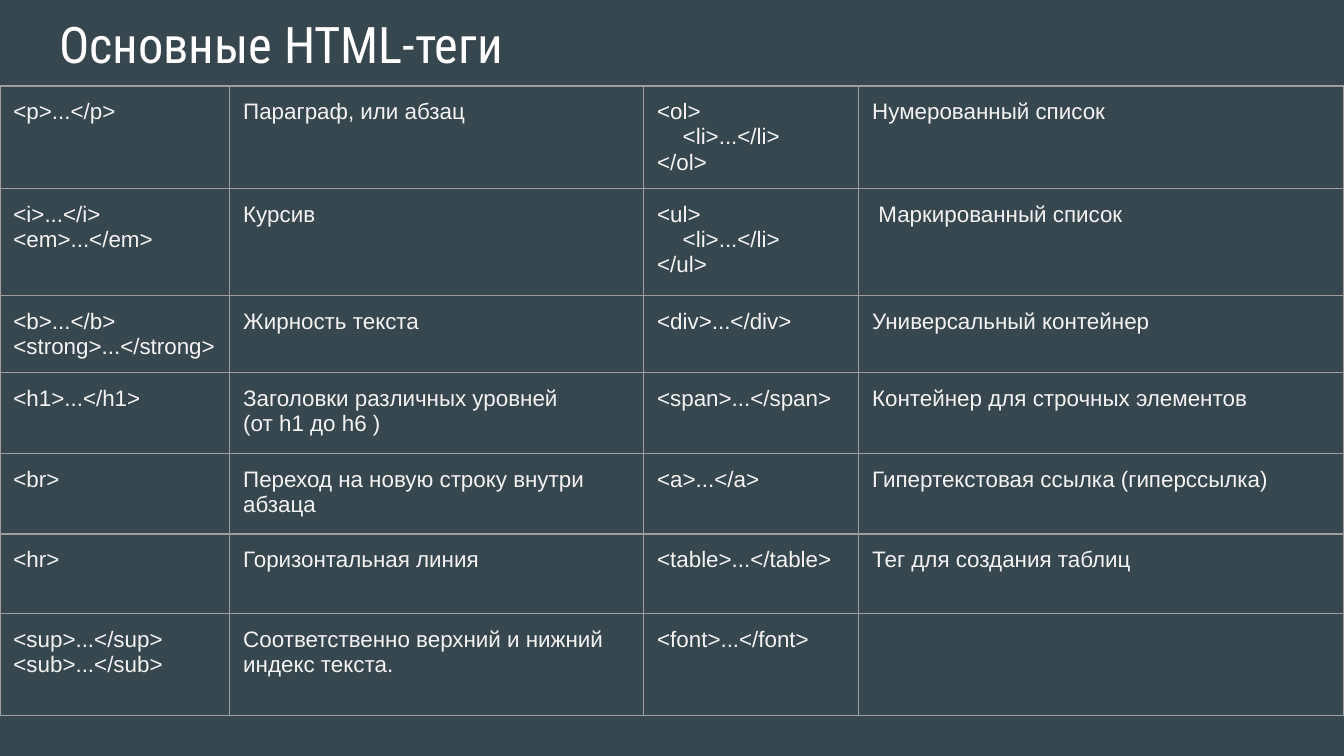
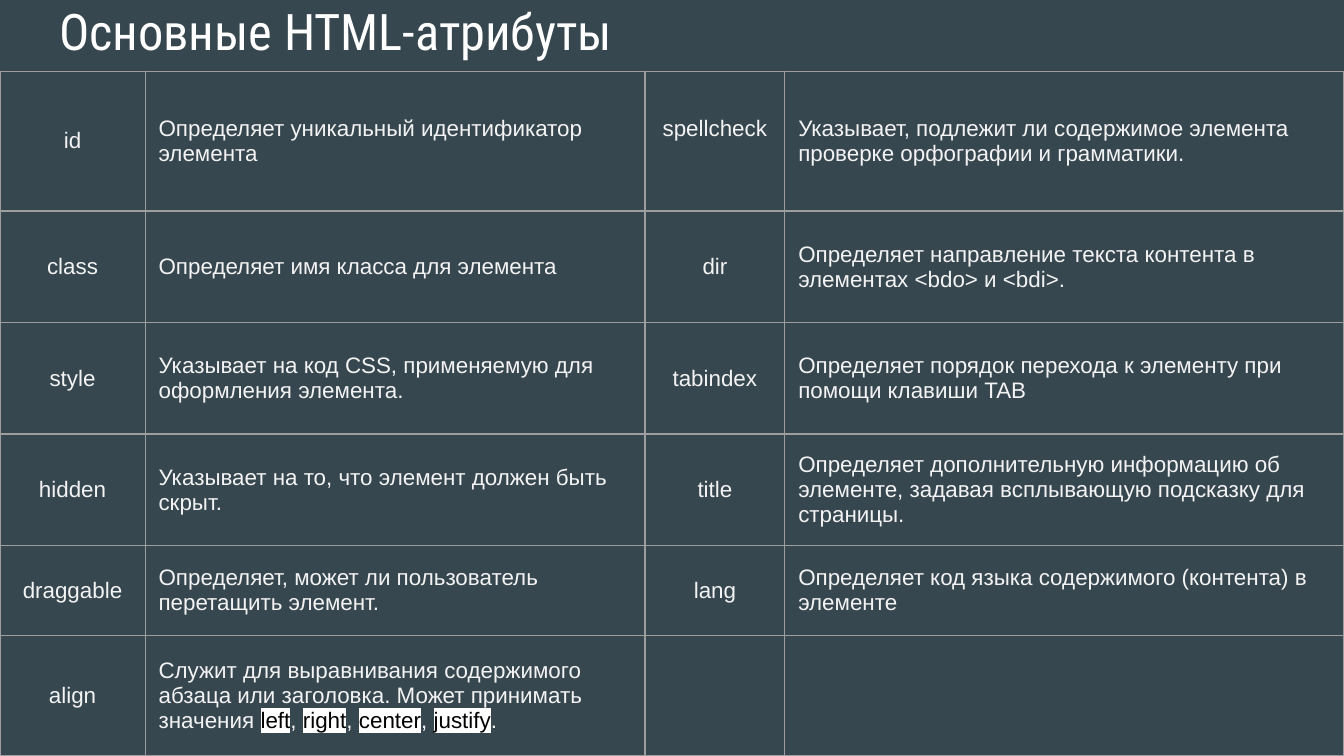
from lxml import etree
from pptx import Presentation
from pptx.dml.color import RGBColor
from pptx.enum.text import MSO_ANCHOR, MSO_AUTO_SIZE, PP_ALIGN
from pptx.oxml.ns import qn
from pptx.util import Inches, Pt

LEFT, CENTER = PP_ALIGN.LEFT, PP_ALIGN.CENTER
TOP, MIDDLE = MSO_ANCHOR.TOP, MSO_ANCHOR.MIDDLE
COLORS = {
    "background": "37474F", "title": "FFFFFF", "text": "F3F3F3",
    "border": "9E9E9E", "marked": "000000", "highlight": "FFFFFF",
}
TITLE_FONT, BODY_FONT = "Roboto Condensed", "Arial"
SLIDE_WIDTH = 10
SLIDE_HEIGHT = SLIDE_WIDTH * 9 / 16
TITLE_LEFT, TITLE_HEIGHT = 0.34, 0.63
INSET = 0.1
LIST_INDENT = 0.19
BORDER_WIDTH = 0.75

# "\n" starts a paragraph, "\v" breaks a line, backticks mark highlighted words.
TAGS = [
    ("<p>...</p>", "Параграф, или абзац",
     "<ol>\n<li>...</li>\n</ol>", "Нумерованный список"),
    ("<i>...</i>\n<em>...</em>", "Курсив",
     "<ul>\n<li>...</li>\n</ul>", " Маркированный список"),
    ("<b>...</b>\v<strong>...</strong>", "Жирность текста",
     "<div>...</div>", "Универсальный контейнер"),
    ("<h1>...</h1>", "Заголовки различных уровней \v(от h1 до h6 )",
     "<span>...</span>", "Контейнер для строчных элементов"),
    ("<br>", "Переход на новую строку внутри абзаца",
     "<a>...</a>", "Гипертекстовая ссылка (гиперссылка)"),
    ("<hr>", "Горизонтальная линия",
     "<table>...</table>", "Тег для создания таблиц"),
    ("<sup>...</sup>\n<sub>...</sub>",
     "Соответственно верхний и нижний индекс текста.",
     "<font>...</font>", ""),
]
ATTRIBUTES = [
    ("id", "Определяет уникальный идентификатор элемента",
     "spellcheck", "Указывает, подлежит ли содержимое элемента "
     "проверке орфографии и грамматики."),
    ("class", "Определяет имя класса для элемента",
     "dir", "Определяет направление текста контента в элементах <bdo> и <bdi>."),
    ("style", "Указывает на код CSS, применяемую для оформления элемента.",
     "tabindex", "Определяет порядок перехода к элементу при помощи клавиши TAB"),
    ("hidden", "Указывает на то, что элемент должен быть скрыт.",
     "title", "Определяет дополнительную информацию об элементе, "
     "задавая всплывающую подсказку для страницы."),
    ("draggable", "Определяет, может ли пользователь перетащить элемент.",
     "lang", "Определяет код языка содержимого (контента) в элементе"),
    ("align", "Служит для выравнивания содержимого абзаца или заголовка. "
     "Может принимать значения `left`, `right`, `center`, `justify`.", "", ""),
]
SLIDES = [
    {"title": "Основные HTML-теги", "title_top": 0, "table_top": 0.64,
     "columns": (1.71, 3.08, 1.6, 3.61),
     "heights": (0.76, 0.8, 0.57, 0.6, 0.6, 0.59, 0.76),
     "rows": TAGS, "name_align": LEFT, "anchor": TOP, "raised": {}},
    {"title": "Основные HTML-атрибуты", "title_top": -0.1, "table_top": 0.53,
     "columns": (1.08, 3.72, 1.04, 4.16),
     "heights": (1.04, 0.83, 0.83, 0.83, 0.67, 0.89),
     "rows": ATTRIBUTES, "name_align": CENTER, "anchor": MIDDLE,
     "raised": {"spellcheck": 0.18}},
]


def color(name):
    return RGBColor.from_string(COLORS[name])


def add_run(paragraph, text, size, font, color_name, highlighted=False):
    run = paragraph.add_run()
    run.text = text
    run.font.size, run.font.name = Pt(size), font
    run.font.color.rgb = color("marked" if highlighted else color_name)
    if highlighted:
        properties = run._r.get_or_add_rPr()
        highlight = etree.Element(qn("a:highlight"))
        etree.SubElement(highlight, qn("a:srgbClr"), val=COLORS["highlight"])
        properties.find(qn("a:solidFill")).addnext(highlight)


def write(frame, text, size=12, font=BODY_FONT, color_name="text", align=LEFT):
    """Fill a text frame, reading the paragraph, break and highlight marks."""
    for index, line in enumerate(text.split("\n")):
        paragraph = frame.add_paragraph() if index else frame.paragraphs[0]
        paragraph.alignment = align
        if line.startswith("<li>"):
            paragraph._p.get_or_add_pPr().set("marL", str(Inches(LIST_INDENT)))
        for part_index, part in enumerate(line.split("\v")):
            if part_index:
                paragraph.add_line_break()
            for piece_index, piece in enumerate(part.split("`")):
                if piece:
                    add_run(paragraph, piece, size, font, color_name,
                            highlighted=piece_index % 2 == 1)


def set_insets(target, bottom=INSET):
    target.margin_left = target.margin_right = target.margin_top = Inches(INSET)
    target.margin_bottom = Inches(bottom)


def set_borders(cell):
    properties = cell._tc.get_or_add_tcPr()
    for position, side in enumerate(("lnL", "lnR", "lnT", "lnB")):
        line = etree.Element(qn(f"a:{side}"), w=str(Pt(BORDER_WIDTH)))
        fill = etree.SubElement(line, qn("a:solidFill"))
        etree.SubElement(fill, qn("a:srgbClr"), val=COLORS["border"])
        properties.insert(position, line)


def add_title(slide, text, top):
    title = slide.shapes.title
    title.left, title.top = Inches(TITLE_LEFT), Inches(top)
    title.width = Inches(SLIDE_WIDTH - 2 * TITLE_LEFT)
    title.height = Inches(TITLE_HEIGHT)
    frame = title.text_frame
    frame.word_wrap, frame.auto_size = True, MSO_AUTO_SIZE.NONE
    frame.vertical_anchor = TOP
    set_insets(frame)
    write(frame, text, size=27, font=TITLE_FONT, color_name="title")


def add_reference_table(slide, content):
    columns, heights, rows = content["columns"], content["heights"], content["rows"]
    table = slide.shapes.add_table(
        len(rows), len(columns), 0, Inches(content["table_top"]),
        Inches(sum(columns)), Inches(sum(heights))).table
    table.first_row = table.horz_banding = False
    for column, width in zip(table.columns, columns):
        column.width = Inches(width)
    for row, height, texts in zip(table.rows, heights, rows):
        row.height = Inches(height)
        for index, (cell, text) in enumerate(zip(row.cells, texts)):
            cell.fill.background()
            set_borders(cell)
            set_insets(cell, bottom=INSET + content["raised"].get(text, 0))
            cell.vertical_anchor = content["anchor"]
            is_name = index % 2 == 0
            write(cell.text_frame, text,
                  align=content["name_align"] if is_name else LEFT)


def main():
    presentation = Presentation()
    presentation.slide_width = Inches(SLIDE_WIDTH)
    presentation.slide_height = Inches(SLIDE_HEIGHT)
    background = presentation.slide_master.background.fill
    background.solid()
    background.fore_color.rgb = color("background")
    title_only = presentation.slide_layouts.get_by_name("Title Only")
    for content in SLIDES:
        slide = presentation.slides.add_slide(title_only)
        add_title(slide, content["title"], content["title_top"])
        add_reference_table(slide, content)
    presentation.save("out.pptx")


if __name__ == "__main__":
    main()
